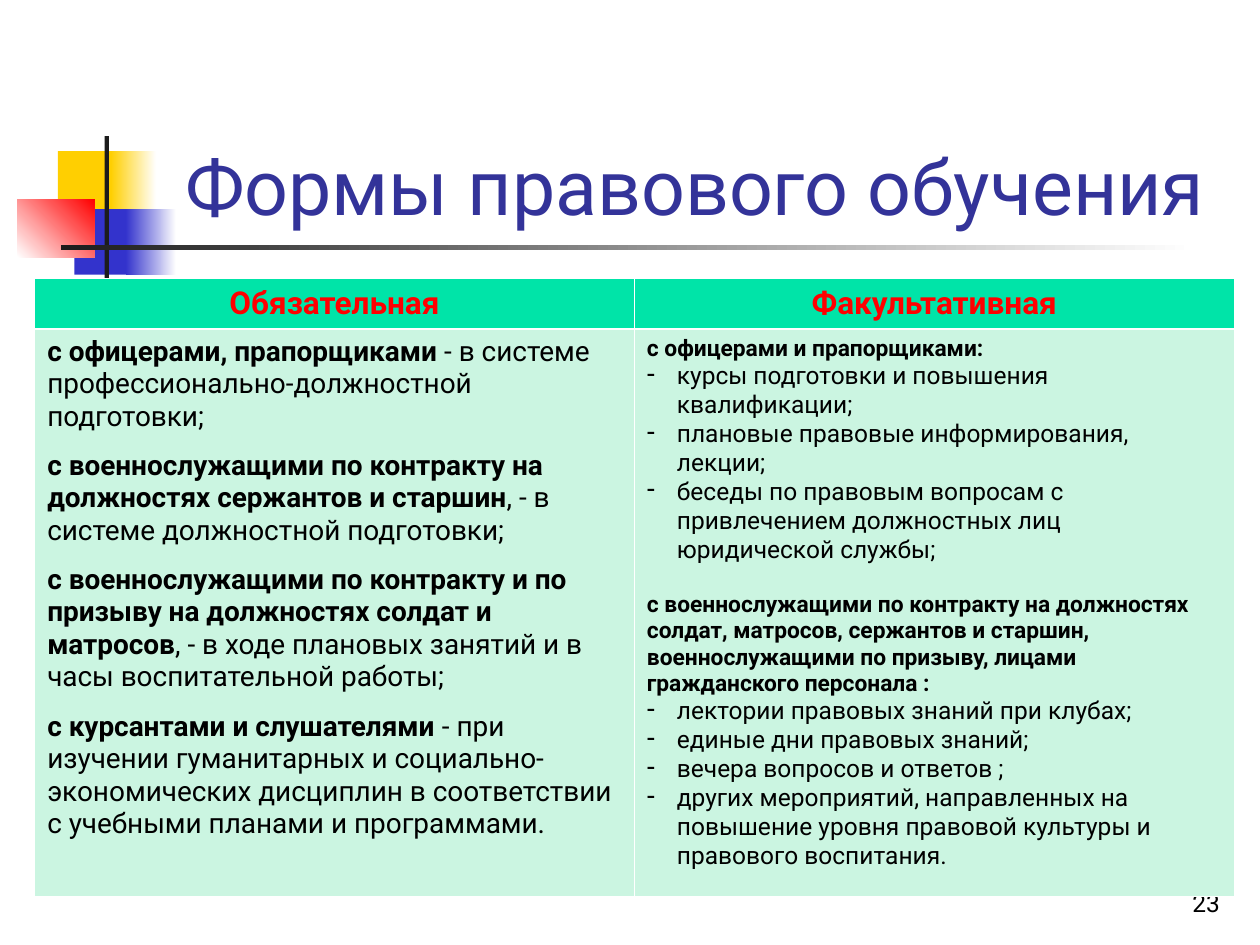
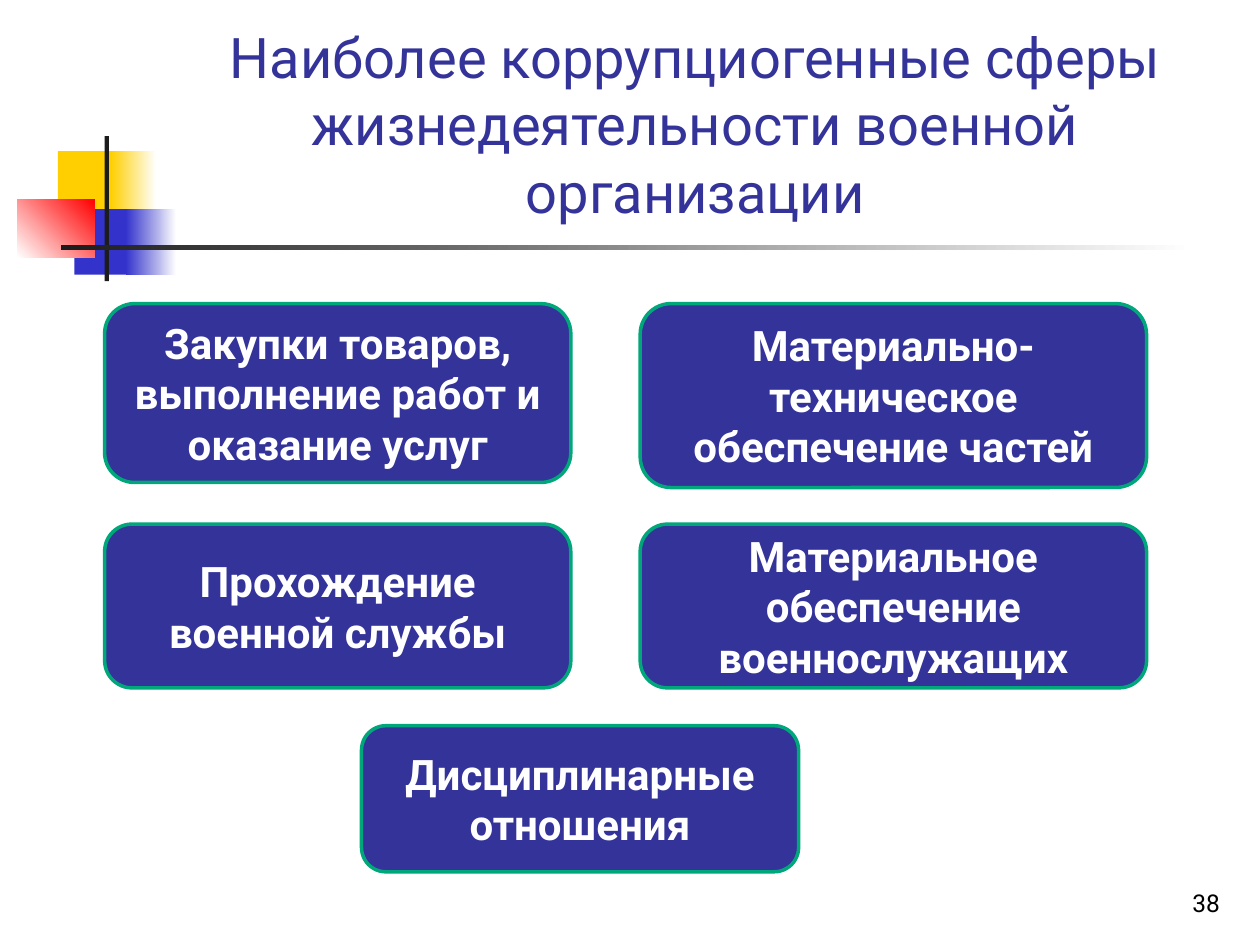
from dataclasses import dataclass
from typing import NamedTuple

from lxml import etree
from pptx import Presentation
from pptx.dml.color import RGBColor
from pptx.enum.shapes import MSO_SHAPE
from pptx.enum.text import MSO_ANCHOR, PP_ALIGN
from pptx.oxml.ns import qn
from pptx.util import Pt

RECTANGLE = MSO_SHAPE.RECTANGLE
ROUNDED = MSO_SHAPE.ROUNDED_RECTANGLE
LEFT, CENTER, RIGHT = PP_ALIGN.LEFT, PP_ALIGN.CENTER, PP_ALIGN.RIGHT
TOP, MIDDLE, BOTTOM = MSO_ANCHOR.TOP, MSO_ANCHOR.MIDDLE, MSO_ANCHOR.BOTTOM


@dataclass(frozen=True)
class Theme:
    font: str = "Roboto"
    white: str = "FFFFFF"
    black: str = "000000"
    yellow: str = "FFCF01"
    blue: str = "3333CC"
    red: str = "FF0000"
    bar: str = "1C1C1C"
    indigo: str = "333399"
    outline: str = "00A77A"
    header_fill: str = "00E4A8"
    body_fill: str = "CBF5E1"
    title_size: float = 44
    long_title_size: float = 32
    sphere_size: float = 24
    header_size: float = 18
    mandatory_size: float = 16
    item_size: float = 14
    group_size: float = 13
    thin_border: float = 0.45
    thick_border: float = 1.47


THEME = Theme()


class Box(NamedTuple):
    left: float
    top: float
    width: float
    height: float


class Block(NamedTuple):
    box: Box
    start: str
    end: str = ""
    angle: float = 0


class Sphere(NamedTuple):
    text: str
    box: Box


class Duty(NamedTuple):
    audience: str
    form: str


class Group(NamedTuple):
    audience: str
    forms: tuple[str, ...]


EMBLEM = (
    Block(Box(33.1, 86.4, 34.6, 37.4), THEME.yellow),
    Block(Box(63.4, 86.4, 25.9, 37.4), THEME.yellow, THEME.white),
    Block(Box(42.5, 119.5, 33.1, 37.4), THEME.blue),
    Block(Box(72, 119.5, 28.8, 37.4), THEME.blue, THEME.white),
    Block(Box(10, 113.8, 44, 33.1), THEME.white, THEME.red, 45),
    Block(Box(59.8, 77.8, 2.4, 82.8), THEME.bar),
    Block(Box(34.6, 140.2, 648, 2.4), THEME.bar, THEME.white),
)
NUMBER_BOX = Box(554.4, 491.8, 149.8, 36)
TABLE_BOX = Box(19.8, 159.2, 685.4, 352.8)
HEADER_HEIGHT = 28.8
BULLET_INDENT = 17.1

HEADERS = ("Обязательная", "Факультативная")
DUTIES = (
    Duty("с офицерами, прапорщиками ",
         "- в системе профессионально-должностной подготовки;"),
    Duty("с военнослужащими по контракту на должностях сержантов и старшин",
         ", - в системе должностной подготовки;"),
    Duty("с военнослужащими по контракту и по призыву на должностях солдат и матросов",
         ", - в ходе плановых занятий и в часы воспитательной работы;"),
    Duty("с курсантами и слушателями ",
         "- при изучении гуманитарных и социально-экономических дисциплин "
         "в соответствии с учебными планами и программами."),
)
GROUPS = (
    Group("с офицерами и прапорщиками:", (
        "курсы подготовки и повышения квалификации;",
        "плановые правовые информирования, лекции;",
        "беседы по правовым вопросам с привлечением должностных лиц юридической службы;",
    )),
    Group("с военнослужащими по контракту на должностях солдат, матросов, сержантов "
          "и старшин, военнослужащими по призыву, лицами гражданского персонала :", (
        "лектории правовых знаний при клубах;",
        "единые дни правовых знаний;",
        "вечера вопросов и ответов ;",
        "других мероприятий, направленных на повышение уровня правовой культуры "
        "и правового воспитания.",
    )),
)

COLUMN_LEFTS, COLUMN_WIDTHS = (59.8, 365.8), (266.4, 289.4)
ROW_TOPS = (173.5, 299.5)
SPHERE_ROWS = (
    (("Закупки товаров, выполнение работ и оказание услуг", 102.2),
     ("Материально-техническое обеспечение частей", 105.1)),
    (("Прохождение военной службы", 93.6),
     ("Материальное обеспечение военнослужащих", 93.6)),
)
SPHERES = [
    Sphere(text, Box(left, top, width, height))
    for top, row in zip(ROW_TOPS, SPHERE_ROWS)
    for left, width, (text, height) in zip(COLUMN_LEFTS, COLUMN_WIDTHS, row)
] + [Sphere("Дисциплинарные отношения", Box(206.6, 414.7, 249.8, 83.5))]


def color(value: str) -> RGBColor:
    return RGBColor.from_string(value)


def points(box: Box) -> list[Pt]:
    return [Pt(length) for length in box]


def add_text(frame, text: str, *, size: float, fill: str = THEME.black, bold: bool = False,
             plain_tail: str = "", align=LEFT, before: float = 0, bullet: str = "") -> None:
    paragraph = frame.paragraphs[0]
    if paragraph.runs:
        paragraph = frame.add_paragraph()
    paragraph.alignment = align
    if before:
        paragraph.space_before = Pt(before)
    if bullet:
        properties = paragraph._p.get_or_add_pPr()
        properties.set("marL", str(Pt(BULLET_INDENT)))
        properties.set("indent", str(-Pt(BULLET_INDENT)))
        etree.SubElement(properties, qn("a:buChar")).set("char", bullet)
    for words, is_bold in ((text, bold), (plain_tail, False)):
        if words:
            run = paragraph.add_run()
            run.text = words
            run.font.name = THEME.font
            run.font.size = Pt(size)
            run.font.bold = is_bold
            run.font.color.rgb = color(fill)


def add_text_box(slide, box: Box, text: str, *, inset: bool = True, **text_format) -> None:
    frame = slide.shapes.add_textbox(*points(box)).text_frame
    frame.word_wrap = True
    frame.vertical_anchor = BOTTOM
    if not inset:
        frame.margin_left = frame.margin_right = frame.margin_top = frame.margin_bottom = 0
    add_text(frame, text, **text_format)


def add_block(slide, block: Block) -> None:
    shape = slide.shapes.add_shape(RECTANGLE, *points(block.box))
    shape.shadow.inherit = False
    shape.line.fill.background()
    if not block.end:
        shape.fill.solid()
        shape.fill.fore_color.rgb = color(block.start)
        return
    shape.fill.gradient()
    shape.fill.gradient_angle = block.angle
    for stop, value, position in zip(shape.fill.gradient_stops, (block.start, block.end), (0, 1)):
        stop.color.rgb = color(value)
        stop.position = position


def add_sphere(slide, sphere: Sphere) -> None:
    shape = slide.shapes.add_shape(ROUNDED, *points(sphere.box))
    shape.shadow.inherit = False
    shape.fill.solid()
    shape.fill.fore_color.rgb = color(THEME.indigo)
    shape.line.color.rgb = color(THEME.outline)
    shape.line.width = Pt(2)
    frame = shape.text_frame
    frame.word_wrap = True
    frame.vertical_anchor = MIDDLE
    add_text(frame, sphere.text, size=THEME.sphere_size, fill=THEME.white, bold=True, align=CENTER)


def style_cell(cell, fill: str, anchor, thick_side: str) -> None:
    cell.vertical_anchor = anchor
    properties = cell._tc.get_or_add_tcPr()
    for side in "LRTB":
        width = THEME.thick_border if side == thick_side else THEME.thin_border
        line = etree.SubElement(properties, qn(f"a:ln{side}"), w=str(Pt(width)))
        solid = etree.SubElement(line, qn("a:solidFill"))
        etree.SubElement(solid, qn("a:srgbClr"), val=THEME.white)
    cell.fill.solid()
    cell.fill.fore_color.rgb = color(fill)


def add_training_table(slide) -> None:
    table = slide.shapes.add_table(2, 2, *points(TABLE_BOX)).table
    table.first_row = table.horz_banding = False
    table.rows[0].height = Pt(HEADER_HEIGHT)
    table.rows[1].height = Pt(TABLE_BOX.height - HEADER_HEIGHT)
    for column, header in enumerate(HEADERS):
        cell = table.cell(0, column)
        style_cell(cell, THEME.header_fill, MIDDLE, "B")
        style_cell(table.cell(1, column), THEME.body_fill, TOP, "T")
        add_text(cell.text_frame, header, size=THEME.header_size, fill=THEME.red,
                 bold=True, align=CENTER)
    mandatory, optional = (table.cell(1, column).text_frame for column in range(2))
    for index, duty in enumerate(DUTIES):
        add_text(mandatory, duty.audience, plain_tail=duty.form, bold=True,
                 size=THEME.mandatory_size, before=9.4 if index else 0)
    for index, group in enumerate(GROUPS):
        add_text(optional, group.audience, size=THEME.group_size, bold=True,
                 before=15.2 if index else 0)
        for form in group.forms:
            add_text(optional, form, size=THEME.item_size, bullet="-")


def add_slide(presentation, title: str, title_box: Box, title_size: float, number: str):
    slide = presentation.slides.add_slide(presentation.slide_layouts[6])
    for block in EMBLEM:
        add_block(slide, block)
    add_text_box(slide, title_box, title, inset=False, size=title_size,
                 fill=THEME.indigo, align=CENTER)
    add_text_box(slide, NUMBER_BOX, number, size=THEME.item_size, align=RIGHT)
    return slide


def main() -> None:
    presentation = Presentation()
    presentation.slide_width, presentation.slide_height = Pt(720), Pt(540)
    forms_slide = add_slide(presentation, "Формы правового обучения",
                            Box(90.7, 16.6, 613.4, 115.2), THEME.title_size, "23")
    add_training_table(forms_slide)
    spheres_slide = add_slide(
        presentation, "Наиболее коррупциогенные сферы жизнедеятельности военной организации",
        Box(90.7, 38.9, 613.4, 89.3), THEME.long_title_size, "38")
    for sphere in SPHERES:
        add_sphere(spheres_slide, sphere)
    presentation.save("out.pptx")


if __name__ == "__main__":
    main()
